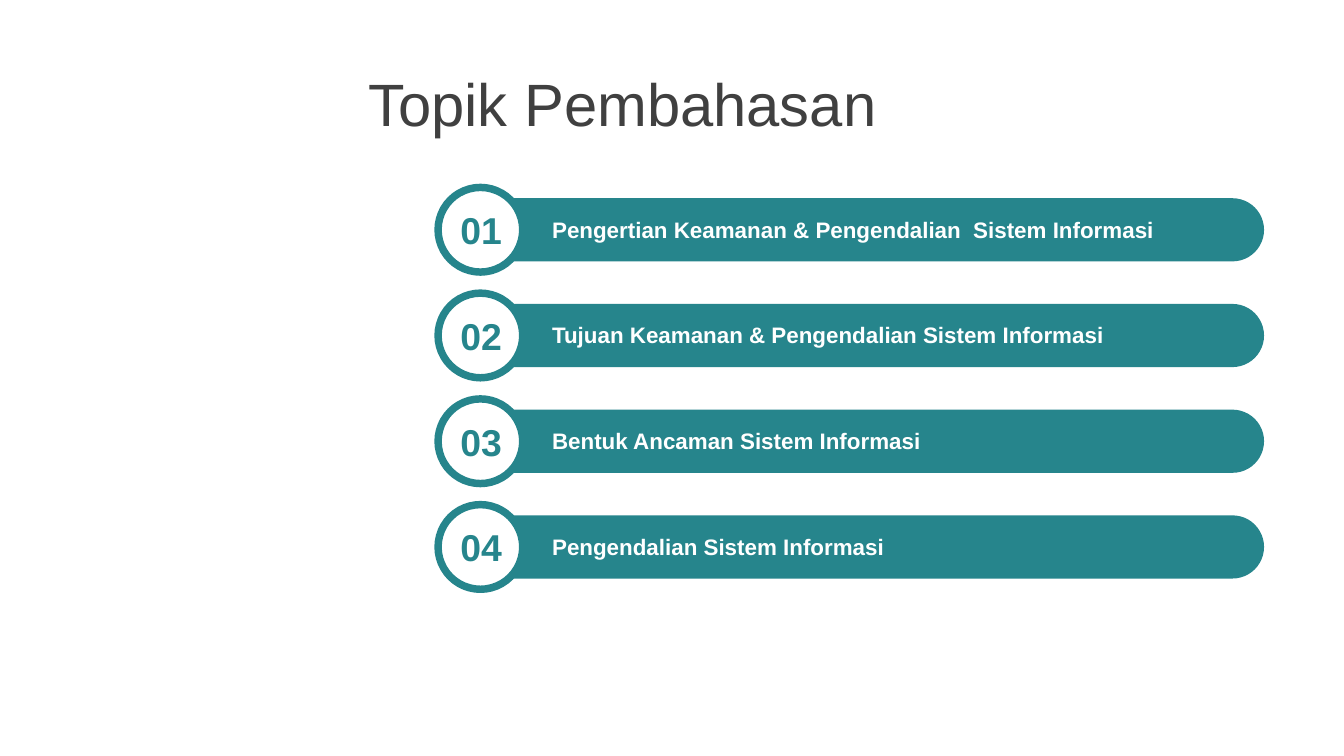
from dataclasses import dataclass

from pptx import Presentation
from pptx import util as u
from pptx.dml.color import RGBColor
from pptx.enum import shapes, text

PX = 4572


@dataclass(frozen=True)
class Theme:
    font: str = "Arial"
    teal: str = "26858C"
    white: str = "FFFFFF"
    title_color: str = "404040"
    title_size: int = 32
    number_size: int = 20
    topic_size: int = 12
    ring_width: int = 4


THEME = Theme()
TOPICS = [
    "Pengertian Keamanan & Pengendalian  Sistem Informasi",
    "Tujuan Keamanan & Pengendalian Sistem Informasi",
    "Bentuk Ancaman Sistem Informasi",
    "Pengendalian Sistem Informasi",
]


def px(*lengths):
    return [u.Emu(round(length * PX)) for length in lengths]


def write(shape, wording, *, size, color, bold=False,
          align=text.PP_ALIGN.LEFT, margins=(20, 10, 20, 10)):
    frame = shape.text_frame
    frame.word_wrap = True
    frame.auto_size = text.MSO_AUTO_SIZE.NONE
    frame.vertical_anchor = text.MSO_ANCHOR.MIDDLE
    (frame.margin_left, frame.margin_top,
     frame.margin_right, frame.margin_bottom) = px(*margins)
    paragraph = frame.paragraphs[0]
    paragraph.alignment = align
    run = paragraph.add_run()
    run.text = wording
    run.font.name = THEME.font
    run.font.size = u.Pt(size)
    run.font.bold = bold
    run.font.color.rgb = RGBColor.from_string(color)


def add_filled(parent, kind, box, color):
    shape = parent.shapes.add_shape(kind, *px(*box))
    shape.shadow.inherit = False
    shape.fill.solid()
    shape.fill.fore_color.rgb = RGBColor.from_string(color)
    shape.line.fill.background()
    return shape


def place_title(slide, wording, box):
    title = slide.shapes.title
    title.left, title.top, title.width, title.height = px(*box)
    write(title, wording, size=THEME.title_size, color=THEME.title_color)


def add_topic(slide, number, wording, box):
    left, top, width, height = box
    middle = top + height / 2
    group = slide.shapes.add_group_shape()

    bar_left = left + 65
    bar_length, bar_height = left + width - bar_left, 94
    bar_box = (bar_left + (bar_length - bar_height) / 2,
               middle - bar_length / 2, bar_height, bar_length)
    bar = add_filled(group, shapes.MSO_SHAPE.ROUND_2_SAME_RECTANGLE,
                     bar_box, THEME.teal)
    bar.adjustments[0] = 0.5
    bar.adjustments[1] = 0
    bar.rotation = 90

    ring = add_filled(group, shapes.MSO_SHAPE.OVAL,
                      (left, top, height, height), THEME.white)
    ring.line.color.rgb = RGBColor.from_string(THEME.teal)
    ring.line.width = u.Pt(THEME.ring_width)

    number_box = group.shapes.add_textbox(*px(left + 2, middle - 34, 124, 68))
    write(number_box, f"{number:02d}", size=THEME.number_size,
          color=THEME.teal, bold=True, align=text.PP_ALIGN.CENTER,
          margins=(20, 0, 20, 0))

    topic_box = group.shapes.add_textbox(*px(left + 150, middle - 31, 1040, 60))
    write(topic_box, wording, size=THEME.topic_size,
          color=THEME.white, bold=True)


def add_topic_list(slide, topics, box):
    left, top, width, height = box
    row_height = 126
    pitch = (height - row_height) / (len(topics) - 1)
    for index, wording in enumerate(topics):
        add_topic(slide, index + 1, wording,
                  (left, top + index * pitch, width, row_height))


def main():
    presentation = Presentation()
    presentation.slide_width, presentation.slide_height = px(2000, 1125)
    slide = presentation.slides.add_slide(presentation.slide_layouts[5])
    place_title(slide, "Topik Pembahasan", (528, 90, 1472, 126))
    add_topic_list(slide, TOPICS, (652, 279, 1229, 598))
    presentation.save("out.pptx")


if __name__ == "__main__":
    main()
